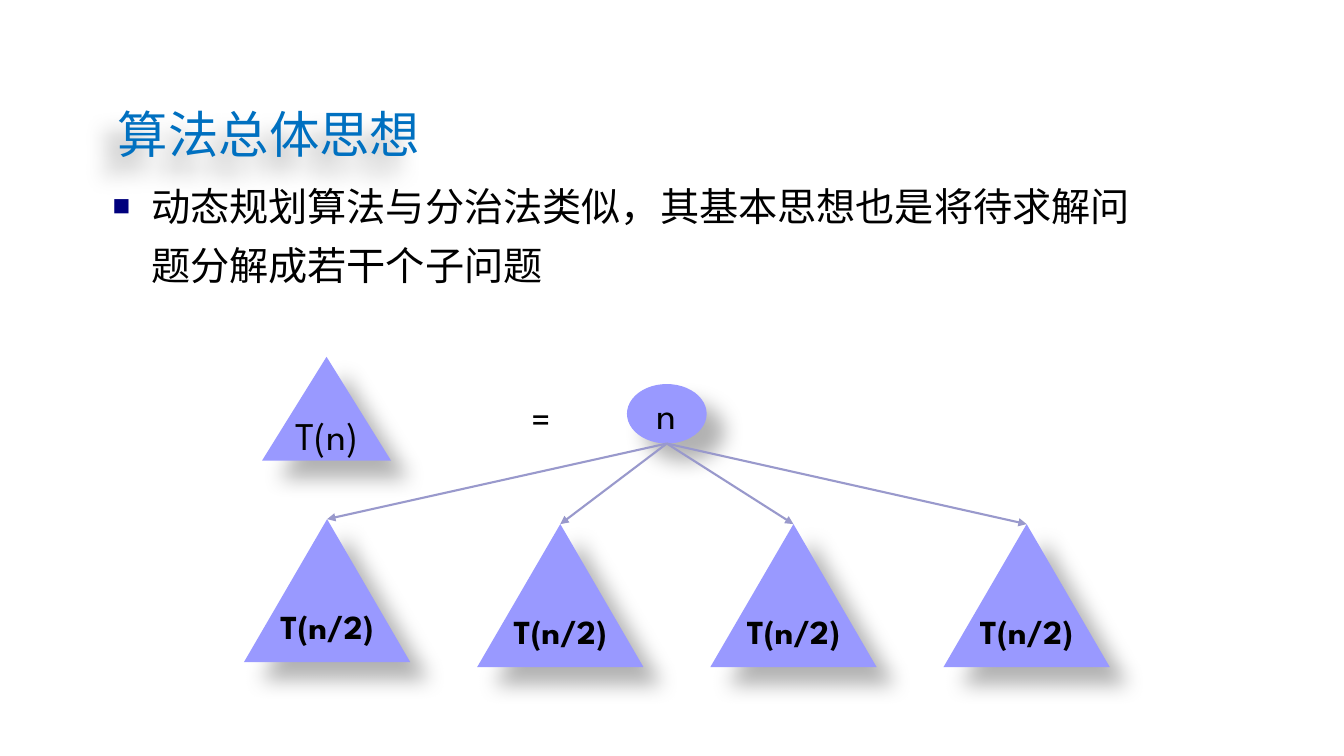
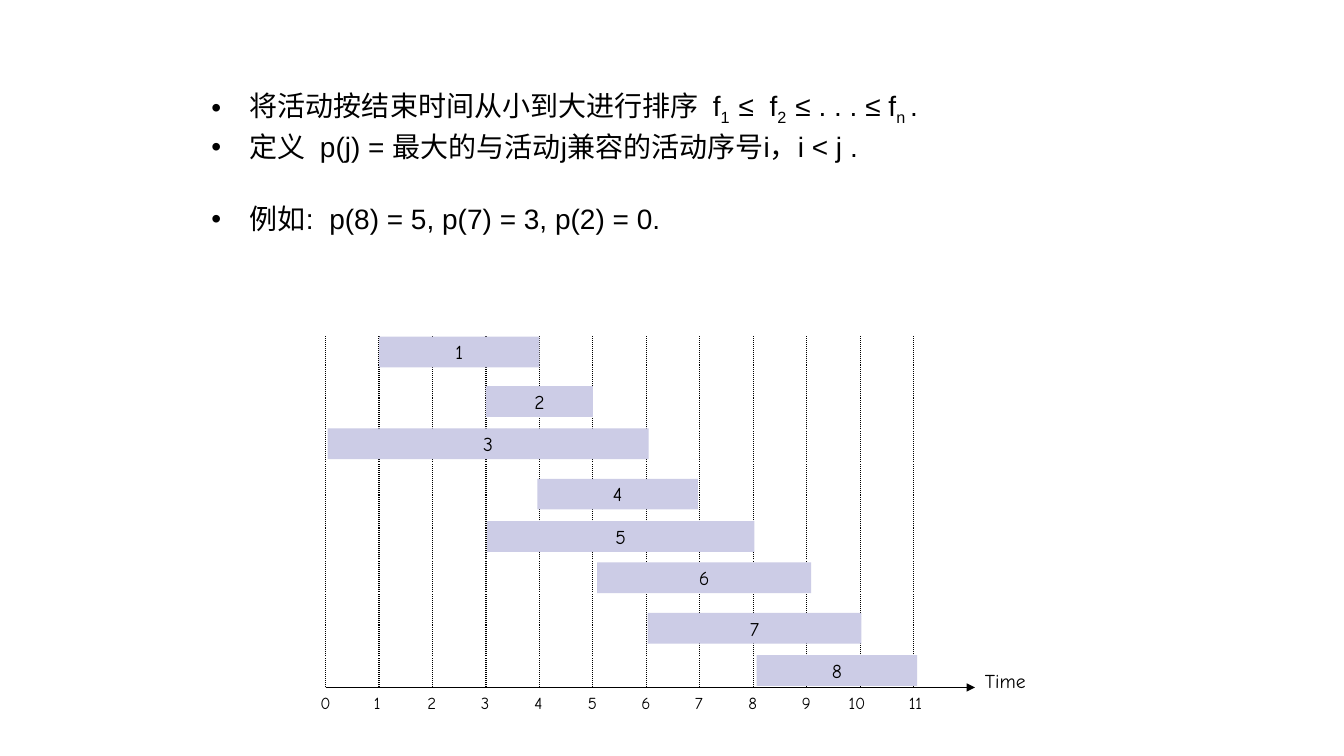
from dataclasses import dataclass, field

from lxml.etree import SubElement
from pptx import Presentation
from pptx.dml.color import RGBColor
from pptx.enum.dml import MSO_LINE
from pptx.enum.shapes import MSO_CONNECTOR as Link, MSO_SHAPE as Preset
from pptx.enum.text import MSO_ANCHOR as Anchor, PP_ALIGN as Align
from pptx.oxml.ns import qn
from pptx.util import Inches, Pt

# Shared look
WIDTH, HEIGHT = Inches(13.33), Inches(7.5)
COLORS = {
    "title": "0070C0", "text": "000000", "bullet": "00007D",
    "node": "9999FF", "branch": "9999CC", "activity": "CCCCE6",
}
HAN, SANS, GEOMETRIC, HAND = "Noto Sans CJK SC", "Arial", "League Spartan", "Comic Neue"


@dataclass(frozen=True)
class Box:
    """Place as percentages of the slide's width and height."""
    left: float
    top: float
    width: float
    height: float

    def emu(self) -> tuple:
        return (across(self.left), down(self.top),
                across(self.width), down(self.height))


@dataclass(frozen=True)
class Style:
    font: str
    size: float
    color: str = "text"
    bold: bool = False


@dataclass(frozen=True)
class Piece:
    text: str
    baseline: int = 0
    spacing: float = 0


@dataclass(frozen=True)
class Bullet:
    char: str
    color: str = "text"
    percent: int = 100


@dataclass(frozen=True)
class Paragraph:
    pieces: list
    bullet: Bullet | None = None
    layout: dict = field(default_factory=dict)


@dataclass(frozen=True)
class Activity:
    start: float
    length: int
    top: float


TITLE = Style(HAN, 36, "title")
BODY = Style(HAN, 28)
DEFINITION = Style(SANS, 20)
NODE = Style(GEOMETRIC, 28)
SUBPROBLEM = Style(GEOMETRIC, 24, bold=True)
TICK, ACTIVITY = Style(HAND, 12), Style(HAND, 14)


def across(share: float) -> int:
    return round(WIDTH * share / 100)


def down(share: float) -> int:
    return round(HEIGHT * share / 100)


def rgb(name: str) -> RGBColor:
    return RGBColor.from_string(COLORS[name])


def apply(target, values: dict) -> None:
    for name, value in values.items():
        setattr(target, name, value)


# Text
def add_bullet(paragraph, bullet: Bullet) -> None:
    props = paragraph._p.get_or_add_pPr()
    props.set("marL", str(Inches(0.38)))
    props.set("indent", str(-Inches(0.38)))
    color = SubElement(props, qn("a:buClr"))
    SubElement(color, qn("a:srgbClr"), val=COLORS[bullet.color])
    SubElement(props, qn("a:buSzPct"), val=str(bullet.percent * 1000))
    SubElement(props, qn("a:buFont"), typeface=SANS)
    SubElement(props, qn("a:buChar"), char=bullet.char)


def add_piece(paragraph, piece: Piece, style: Style) -> None:
    run = paragraph.add_run()
    run.text = piece.text
    apply(run.font, {"name": style.font, "size": Pt(style.size), "bold": style.bold})
    run.font.color.rgb = rgb(style.color)
    props = run._r.get_or_add_rPr()
    SubElement(props, qn("a:ea"), typeface=HAN)
    if piece.baseline:
        props.set("baseline", str(piece.baseline * 1000))
    if piece.spacing:
        props.set("spc", str(round(piece.spacing * 100)))


def write(shape, paragraphs: list, style: Style, frame_format: dict) -> None:
    frame = shape.text_frame
    apply(frame, {"word_wrap": True, **frame_format})
    for index, content in enumerate(paragraphs):
        paragraph = frame.add_paragraph() if index else frame.paragraphs[0]
        apply(paragraph, content.layout)
        if content.bullet:
            add_bullet(paragraph, content.bullet)
        for piece in content.pieces:
            add_piece(paragraph, piece, style)


def label(text: str, align=Align.CENTER) -> list:
    return [Paragraph([Piece(text)], layout={"alignment": align})]


def add_text(slide, box: Box, paragraphs: list, style: Style, **frame_format):
    holder = slide.shapes.add_textbox(*box.emu())
    write(holder, paragraphs, style, frame_format)
    return holder


# Shapes and lines
def cast_shadow(shape, degrees: int) -> None:
    effects = shape.element.spPr.find(qn("a:effectLst"))
    shadow = SubElement(effects, qn("a:outerShdw"), blurRad=str(Pt(15)),
                        dist=str(Pt(18)), dir=str(degrees * 60000), rotWithShape="0")
    color = SubElement(shadow, qn("a:srgbClr"), val=COLORS["text"])
    SubElement(color, qn("a:alpha"), val="30000")


def add_block(slide, preset, box: Box, fill: str, text: str, style: Style):
    block = slide.shapes.add_shape(preset, *box.emu())
    block.shadow.inherit = False
    block.fill.solid()
    block.fill.fore_color.rgb = rgb(fill)
    block.line.fill.background()
    write(block, label(text), style,
          {"word_wrap": False, "vertical_anchor": Anchor.MIDDLE})
    return block


def add_line(slide, start: tuple, end: tuple, color: str, width: float,
             arrow: bool = False, dash=None):
    line = slide.shapes.add_connector(
        Link.STRAIGHT, across(start[0]), down(start[1]), across(end[0]), down(end[1]))
    line.line.color.rgb = rgb(color)
    apply(line.line, {"width": Pt(width), "dash_style": dash})
    props = line.element.spPr
    if arrow:
        SubElement(props.find(qn("a:ln")), qn("a:tailEnd"), type="triangle")
    SubElement(props, qn("a:effectLst"))
    return line


# Slide 1: a problem split into subproblems
def build_overview(slide) -> None:
    heading = add_text(slide, Box(3.15, 12.93, 33.75, 9.47), label("算法总体思想"),
                       TITLE, vertical_anchor=Anchor.MIDDLE)
    heading.shadow.inherit = False
    cast_shadow(heading, 135)
    idea = Paragraph([Piece("动态规划算法与分治法类似，其基本思想也是将待求解问题分解成若干个子问题")],
                     Bullet("■", "bullet", 75), {"line_spacing": 1.25})
    add_text(slide, Box(7.65, 21.87, 79.5, 16.27), [idea], BODY)

    root = Box(46.65, 50.8, 5.93, 7.87)
    fork = (root.left + root.width / 2, root.top + root.height)
    cast_shadow(add_block(slide, Preset.OVAL, root, "node", "n", NODE), 45)
    for column, top in enumerate((68.67, 69.33, 69.33, 69.33)):
        place = Box(18.15 + 17.35 * column, top, 12.38, 18.93)
        subproblem = add_block(slide, Preset.ISOSCELES_TRIANGLE, place,
                               "node", "T(n/2)", SUBPROBLEM)
        cast_shadow(subproblem, 45)
        branch = add_line(slide, fork, (place.left + place.width / 2, top),
                          "branch", 1.5, arrow=True)
        branch.end_connect(subproblem, 0)
    problem = add_block(slide, Preset.ISOSCELES_TRIANGLE, Box(19.5, 47.2, 9.6, 13.73),
                        "node", "T(n)", NODE)
    cast_shadow(problem, 45)
    add_text(slide, Box(36.38, 51.47, 7.88, 7.6), label("="), NODE)


# Slide 2: activities on a time axis
GAP = Piece(" ", spacing=5.56)
SUB_GAP = Piece(" ", -25, 3.2)
ORIGIN, UNIT, GRID_TOP, AXIS, AXIS_END = 24.22, 3.98, 44.4, 90.93, 72.54
ACTIVITIES = [
    Activity(1, 3, 44.53), Activity(3, 2, 51.07), Activity(0.04, 6, 56.67),
    Activity(3.96, 3, 63.33), Activity(3.02, 5, 68.93), Activity(5.08, 4, 74.4),
    Activity(6.02, 4, 81.07), Activity(8.06, 3, 86.67),
]
TICK_SHIFT = {10: -0.5}


def build_schedule(slide) -> None:
    dot = Bullet("•")
    add_text(slide, Box(15, 11.07, 67.5, 56.67), [
        Paragraph([Piece("将活动按结束时间从小到大进行排序"), GAP, Piece("f"),
                   Piece("1", -25), SUB_GAP, Piece("≤"), GAP, Piece("f"),
                   Piece("2", -25), SUB_GAP, Piece("≤ . . . ≤ f"),
                   Piece("n ", -25), Piece(".")], dot),
        Paragraph([Piece("定义"), GAP, Piece("p(j) = 最大的与活动j兼容的活动序号i，i < j .")],
                  dot, {"space_before": Pt(2)}),
        Paragraph([Piece("例如:"), GAP, Piece("p(8) = 5, p(7) = 3, p(2) = 0.")],
                  dot, {"space_before": Pt(27.5)}),
    ], DEFINITION)

    # Axis, dotted grid and tick labels
    add_line(slide, (ORIGIN, AXIS), (AXIS_END, AXIS), "text", 1.25, arrow=True)
    add_text(slide, Box(AXIS_END, 87.87, 6.23, 4.53), label("Time", Align.LEFT), ACTIVITY)
    for tick in range(12):
        x = ORIGIN + UNIT * tick
        add_line(slide, (x, AXIS), (x, GRID_TOP), "text", 0.75, dash=MSO_LINE.ROUND_DOT)
        add_text(slide, Box(x - 1.12 + TICK_SHIFT.get(tick, 0), AXIS, 3.4, 4),
                 label(str(tick), Align.LEFT), TICK)

    # Activity bars
    for number, activity in enumerate(ACTIVITIES, 1):
        place = Box(ORIGIN + UNIT * activity.start, activity.top,
                    UNIT * activity.length, 4.07)
        add_block(slide, Preset.RECTANGLE, place, "activity", str(number), ACTIVITY)


def main() -> None:
    deck = Presentation()
    apply(deck, {"slide_width": WIDTH, "slide_height": HEIGHT})
    for build in (build_overview, build_schedule):
        build(deck.slides.add_slide(deck.slide_layouts[6]))
    deck.save("out.pptx")


if __name__ == "__main__":
    main()
